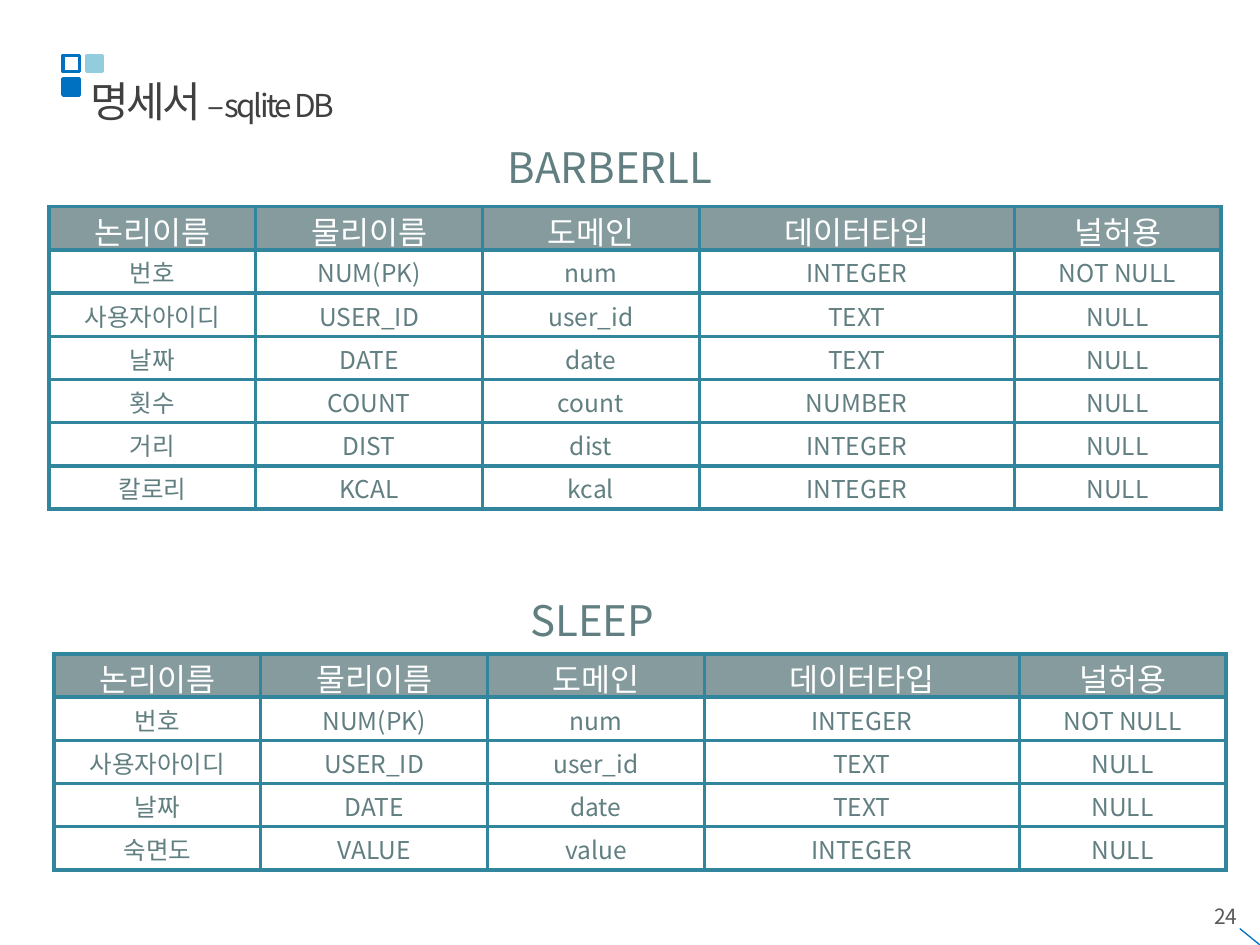
import pptx
import pptx.util
import pptx.dml.color
import pptx.enum.shapes
import pptx.enum.text
import pptx.oxml.ns
from lxml import etree

Inches, Pt = pptx.util.Inches, pptx.util.Pt
RGBColor = pptx.dml.color.RGBColor
Align = pptx.enum.text.PP_ALIGN
Anchor = pptx.enum.text.MSO_ANCHOR
qn = pptx.oxml.ns.qn

# Content
TITLE = [("명세서 ", 24), ("–sqlite DB", 18)]
PAGE_NUMBER = "24"
HEADER = ("논리이름", "물리이름", "도메인", "데이터타입", "널허용")
COMMON_ROWS = [
    ("번호", "NUM(PK)", "num", "INTEGER", "NOT NULL"),
    ("사용자아이디", "USER_ID", "user_id", "TEXT", "NULL"),
    ("날짜", "DATE", "date", "TEXT", "NULL"),
]
BARBELL_ROWS = [
    ("횟수", "COUNT", "count", "NUMBER", "NULL"),
    ("거리", "DIST", "dist", "INTEGER", "NULL"),
    ("칼로리", "KCAL", "kcal", "INTEGER", "NULL"),
]
SLEEP_ROWS = [("숙면도", "VALUE", "value", "INTEGER", "NULL")]
# Heading, heading box, table corner, rows
SPECIFICATIONS = [
    ("BARBERLL", (3.59, 1.07, 2.5, 0.49), (0.39, 1.64), COMMON_ROWS + BARBELL_ROWS),
    ("SLEEP", (3.06, 4.67, 3.28, 0.49), (0.43, 5.19), COMMON_ROWS + SLEEP_ROWS),
]

# Style
FONT = "Noto Sans CJK KR"
WHITE = RGBColor(0xFF, 0xFF, 0xFF)
SLATE = RGBColor(0x61, 0x7E, 0x81)
TEAL = RGBColor(0x31, 0x85, 0x9C)
BLUE = RGBColor(0x00, 0x70, 0xC0)
SKY = RGBColor(0x93, 0xCD, 0xDD)
DARK = RGBColor(0x40, 0x40, 0x40)
GREY = RGBColor(0x59, 0x59, 0x59)

# Grid
SLIDE_WIDTH, SLIDE_HEIGHT = 10, 7.5
COLUMN_WIDTHS = (1.64, 1.8, 1.72, 2.5, 1.64)
ROW_HEIGHT = 0.343
SQUARE, SQUARE_STEP = 0.13, 0.185
SQUARES_LEFT, SQUARES_TOP = 0.5, 0.44
# Column, row, fill, line
SQUARES = [(0, 1, BLUE, BLUE), (0, 0, None, BLUE), (1, 0, SKY, SKY)]


def style_run(span, size, color):
    span.font.size = Pt(size)
    span.font.name = FONT
    span.font.color.rgb = color
    etree.SubElement(span.font._element, qn("a:ea"), typeface=FONT)


def add_text(page, place, spans, color, align):
    box = page.shapes.add_textbox(*map(Inches, place))
    box.text_frame.word_wrap = True
    para = box.text_frame.paragraphs[0]
    para.alignment = align
    for text, size in spans:
        span = para.add_run()
        span.text = text
        style_run(span, size, color)
    return box


def add_borders(cell):
    properties = cell._tc.get_or_add_tcPr()
    for index, side in enumerate(("lnL", "lnR", "lnT", "lnB")):
        line = etree.Element(qn("a:" + side), w=str(Pt(2.25)))
        fill = etree.SubElement(line, qn("a:solidFill"))
        etree.SubElement(fill, qn("a:srgbClr"), val=str(TEAL))
        properties.insert(index, line)


def fill_cell(cell, text, is_header):
    cell.text_frame.text = text
    cell.vertical_anchor = Anchor.MIDDLE
    cell.margin_left = cell.margin_right = cell.margin_top = Inches(0.01)
    cell.margin_bottom = 0
    para = cell.text_frame.paragraphs[0]
    para.alignment = Align.CENTER
    style_run(para.runs[0], 18 if is_header else 14, WHITE if is_header else SLATE)
    if is_header:
        cell.fill.solid()
        cell.fill.fore_color.rgb = SLATE
        color = cell._tc.tcPr.find(".//" + qn("a:srgbClr"))
        etree.SubElement(color, qn("a:alpha"), val="77000")
    else:
        cell.fill.background()
    add_borders(cell)


def add_specification(page, corner, rows):
    rows = [HEADER] + rows
    size = (sum(COLUMN_WIDTHS), ROW_HEIGHT * len(rows))
    table = page.shapes.add_table(
        len(rows), len(HEADER), *map(Inches, corner + size)).table
    table.horz_banding = False
    table.first_row = False
    for column, width in zip(table.columns, COLUMN_WIDTHS):
        column.width = Inches(width)
    for r, row in enumerate(rows):
        table.rows[r].height = Inches(ROW_HEIGHT)
        for c, text in enumerate(row):
            fill_cell(table.cell(r, c), text, r == 0)


deck = pptx.Presentation()
deck.slide_width, deck.slide_height = Inches(SLIDE_WIDTH), Inches(SLIDE_HEIGHT)
page = deck.slides.add_slide(deck.slide_layouts[6])

# Page number and corner line
add_text(page, (7.59, 7.12, 2.33, 0.4), [(PAGE_NUMBER, 12)], GREY, Align.RIGHT)
corner_line = page.shapes.add_connector(
    pptx.enum.shapes.MSO_CONNECTOR.STRAIGHT,
    *map(Inches, (SLIDE_WIDTH, SLIDE_HEIGHT, 9.84, 7.37)))
corner_line.line.color.rgb = BLUE
corner_line.line.width = Pt(0.75)
etree.SubElement(corner_line._element.spPr, qn("a:effectLst"))

# Squares beside the title
for column, row, fill, line in SQUARES:
    square = page.shapes.add_shape(
        pptx.enum.shapes.MSO_SHAPE.RECTANGLE,
        Inches(SQUARES_LEFT + column * SQUARE_STEP),
        Inches(SQUARES_TOP + row * SQUARE_STEP),
        Inches(SQUARE), Inches(SQUARE))
    square.shadow.inherit = False
    if fill is None:
        square.fill.background()
    else:
        square.fill.solid()
        square.fill.fore_color.rgb = fill
    square.line.color.rgb = line
    square.line.width = Pt(2)

# Tables with their headings
for heading, place, corner, rows in SPECIFICATIONS:
    add_specification(page, corner, rows)
    add_text(page, place, [(heading, 24)], SLATE, Align.CENTER)

# Title
title = add_text(page, (0.62, 0.55, 8.59, 0.5), TITLE, DARK, Align.LEFT)
for span in title.text_frame.paragraphs[0].runs:
    span.font._element.set("spc", "-150")

deck.save("out.pptx")
